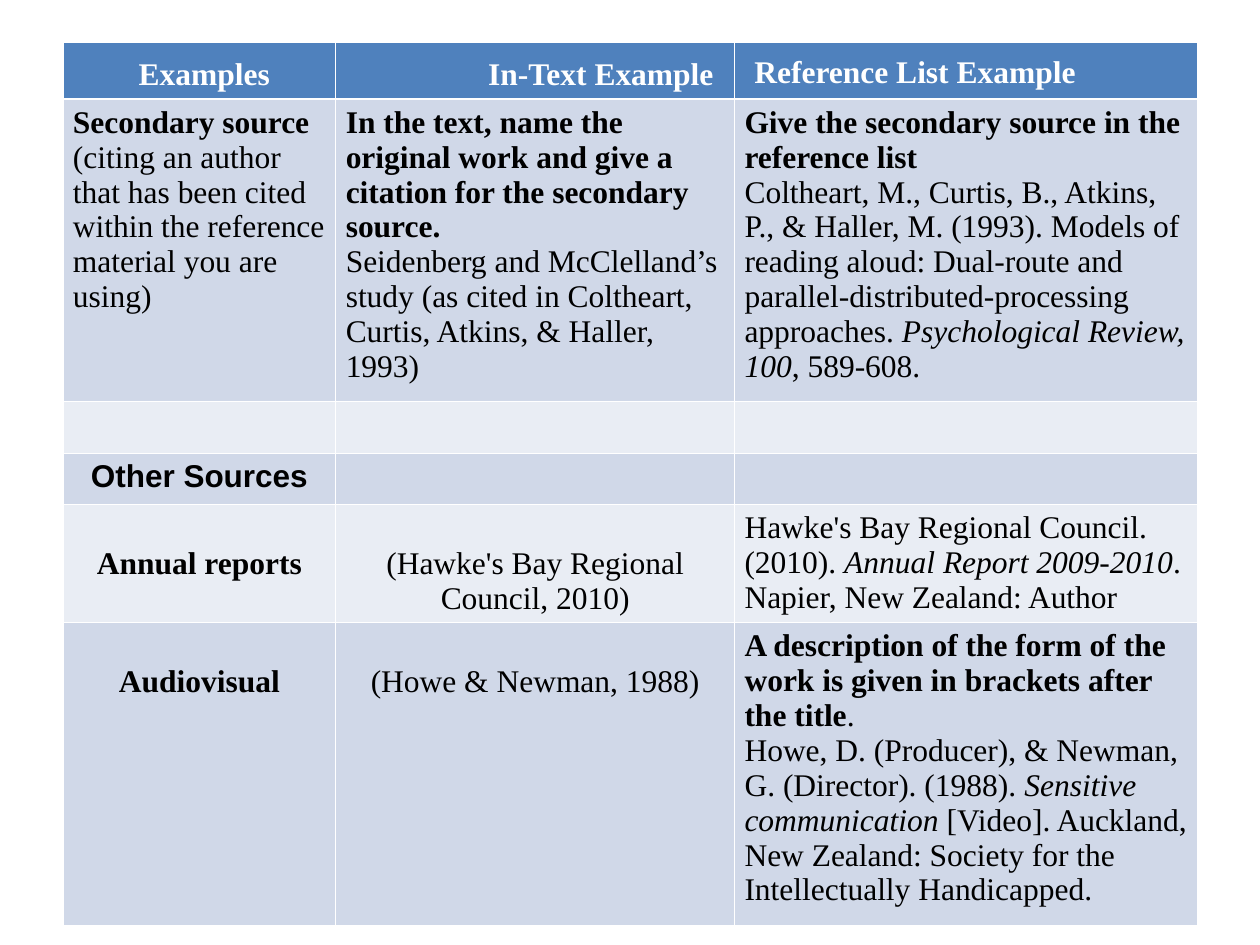
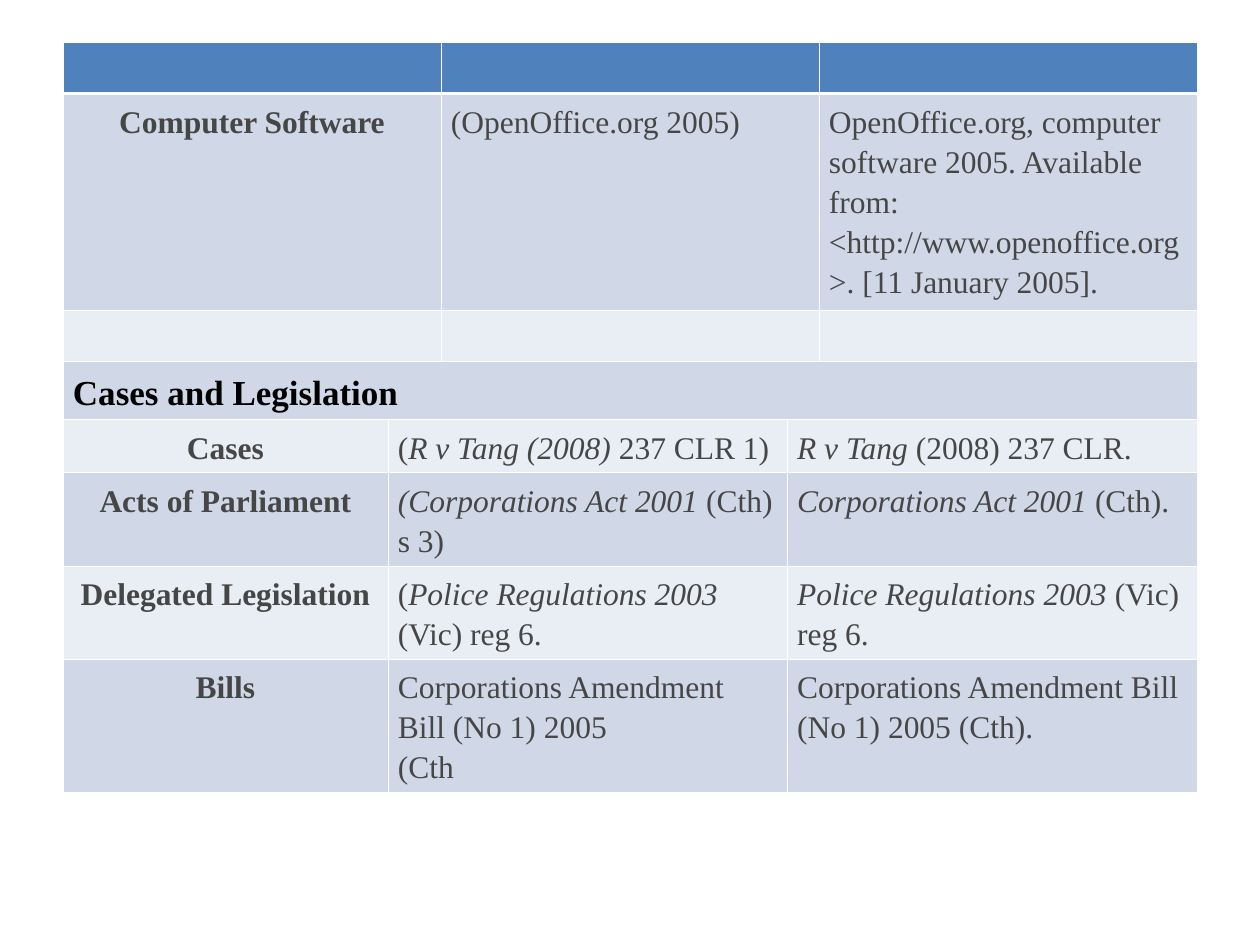
"""Builds two slides of referencing examples set out as banded tables."""
from dataclasses import dataclass
from typing import NamedTuple

from lxml.etree import SubElement
from pptx import Presentation
from pptx.dml.color import RGBColor
from pptx.enum.text import PP_ALIGN
from pptx.oxml.ns import qn
from pptx.util import Cm, Pt

HEADER_BLUE = RGBColor(0x4F, 0x81, 0xBD)
BAND_DARK = RGBColor(0xD0, 0xD8, 0xE8)
BAND_LIGHT = RGBColor(0xE9, 0xED, 0xF4)
WHITE = RGBColor(0xFF, 0xFF, 0xFF)
BLACK = RGBColor(0x00, 0x00, 0x00)
GREY = RGBColor(0x46, 0x46, 0x46)
SERIF = "Times New Roman"
TABLE_LEFT, TABLE_TOP = 1.27, 0.85
SIDE_MARGIN, EDGE_MARGIN = 0.2, 0.13
LOWERED = 0.84
THIN, THICK = 0.45, 1.47


class Span(NamedTuple):
    text: str
    bold: bool = False
    italic: bool = False


Line = tuple[Span, ...]


@dataclass(frozen=True)
class Entry:
    lines: tuple[Line, ...] = ()
    columns: int = 1
    centred: bool = False
    color: RGBColor = BLACK
    font: str = SERIF
    size: float = 18
    spacing: float | Pt = 1.0
    top: float = EDGE_MARGIN
    indent: float = 0


@dataclass(frozen=True)
class TablePage:
    widths: tuple[float, ...]
    heights: tuple[float, ...]
    rows: tuple[tuple[Entry, ...], ...]


def plain(text: str) -> Line:
    return (Span(text),)


def bold(text: str) -> Line:
    return (Span(text, bold=True),)


def italic(text: str) -> Span:
    return Span(text, italic=True)


def heading(text: str, leading: float, top: float, indent: float, centred: bool = False) -> Entry:
    return Entry((bold(text),), color=WHITE, spacing=Pt(leading), top=top,
                 indent=indent, centred=centred)


def label(text: str, columns: int = 1) -> Entry:
    return Entry((bold(text),), columns, centred=True, color=GREY, spacing=1.15)


def detail(*lines: Line, columns: int = 1) -> Entry:
    return Entry(lines, columns, color=GREY, spacing=1.15)


def lowered(line: Line) -> Entry:
    return Entry((line,), centred=True, top=LOWERED)


def law_row(kind: str, in_text: tuple[Line, ...], reference: Line) -> tuple[Entry, ...]:
    return label(kind), detail(*in_text, columns=2), detail(reference, columns=2)


def set_borders(cell, row_index: int) -> None:
    properties = cell._tc.get_or_add_tcPr()
    widths = {"a:lnL": THIN, "a:lnR": THIN,
              "a:lnT": THICK if row_index == 1 else THIN,
              "a:lnB": THICK if row_index == 0 else THIN}
    for position, (tag, width) in enumerate(widths.items()):
        line = properties.makeelement(qn(tag), {"w": str(int(Pt(width)))})
        fill = SubElement(line, qn("a:solidFill"))
        SubElement(fill, qn("a:srgbClr"), val=str(WHITE))
        properties.insert(position, line)


def write_line(paragraph, line: Line, entry: Entry) -> None:
    paragraph.alignment = PP_ALIGN.CENTER if entry.centred else PP_ALIGN.LEFT
    paragraph.line_spacing = entry.spacing
    if entry.indent:
        paragraph._p.get_or_add_pPr().set("marL", str(int(Cm(entry.indent))))
    font = paragraph.font
    font.name, font.size = entry.font, Pt(entry.size)
    font.color.rgb = entry.color
    font.bold = all(span.bold for span in line)
    font.italic = all(span.italic for span in line)
    for span in line:
        run = paragraph.add_run()
        run.text = span.text
        if span.bold != font.bold:
            run.font.bold = span.bold
        if span.italic != font.italic:
            run.font.italic = span.italic


def fill_entry(cell, entry: Entry) -> None:
    cell.margin_left = cell.margin_right = Cm(SIDE_MARGIN)
    cell.margin_top, cell.margin_bottom = Cm(entry.top), Cm(EDGE_MARGIN)
    frame = cell.text_frame
    for index, line in enumerate(entry.lines):
        paragraph = frame.add_paragraph() if index else frame.paragraphs[0]
        write_line(paragraph, line, entry)


def band_color(row_index: int) -> RGBColor:
    if row_index == 0:
        return HEADER_BLUE
    return BAND_DARK if row_index % 2 else BAND_LIGHT


def add_table_page(deck, content: TablePage) -> None:
    page = deck.slides.add_slide(deck.slide_layouts[6])
    table = page.shapes.add_table(
        len(content.heights), len(content.widths), Cm(TABLE_LEFT), Cm(TABLE_TOP),
        Cm(sum(content.widths)), Cm(sum(content.heights))).table
    table.first_row = table.horz_banding = False
    for column, width in zip(table.columns, content.widths):
        column.width = Cm(width)
    for row_index, entries in enumerate(content.rows):
        row = table.rows[row_index]
        row.height = Cm(content.heights[row_index])
        for cell in row.cells:
            cell.fill.solid()
            cell.fill.fore_color.rgb = band_color(row_index)
            set_borders(cell, row_index)
        start = 0
        for entry in entries:
            cell = table.cell(row_index, start)
            if entry.columns > 1:
                cell.merge(table.cell(row_index, start + entry.columns - 1))
            fill_entry(cell, entry)
            start += entry.columns


EMPTY_ROW = (Entry(),) * 3
EMPTY_MERGED_ROW = (Entry(columns=2), Entry(columns=2), Entry())

SOURCES = TablePage(
    widths=(5.5, 8.04, 9.32),
    heights=(1.12, 6.1, 1.04, 1.03, 2.37, 6.1),
    rows=(
        (heading("Examples", 12.5, 0.57, 0.2, centred=True),
         heading("In-Text Example", 12.5, 0.57, 2.87),
         heading("Reference List Example", 12, 0.55, 0.2)),
        (Entry((bold("Secondary source"),
                plain("(citing an author that has been cited within the reference "
                      "material you are using)"))),
         Entry((bold("In the text, name the original work and give a citation for "
                     "the secondary source."),
                plain("Seidenberg and McClelland’s study (as cited in Coltheart, "
                      "Curtis, Atkins, & Haller, 1993)"))),
         Entry((bold("Give the secondary source in the reference list"),
                (Span("Coltheart, M., Curtis, B., Atkins, P., & Haller, M. (1993). "
                      "Models of reading aloud: Dual-route and "
                      "parallel-distributed-processing approaches. "),
                 italic("Psychological Review, 100"), Span(", 589-608."))))),
        EMPTY_ROW,
        (Entry((bold("Other Sources"),), centred=True, font="Arial"), Entry(), Entry()),
        (lowered(bold("Annual reports")),
         lowered(plain("(Hawke's Bay Regional Council, 2010)")),
         Entry(((Span("Hawke's Bay Regional Council. (2010). "),
                 italic("Annual Report 2009-2010"),
                 Span(". Napier, New Zealand: Author")),))),
        (lowered(bold("Audiovisual")),
         lowered(plain("(Howe & Newman, 1988)")),
         Entry(((Span("A description of the form of the work is given in brackets "
                      "after the title", bold=True), Span(".")),
                (Span("Howe, D. (Producer), & Newman, G. (Director). (1988). "),
                 italic("Sensitive communication "),
                 Span("[Video]. Auckland, New Zealand: Society for the "
                      "Intellectually Handicapped."))))),
    ))

LEGISLATION = TablePage(
    widths=(6.55, 1.07, 6.98, 0.64, 7.62),
    heights=(1.03, 4.37, 1.03, 1.17, 1.05, 1.87, 1.87, 2.68),
    rows=(
        EMPTY_MERGED_ROW,
        (label("Computer Software", columns=2),
         detail(plain("(OpenOffice.org 2005)"), columns=2),
         detail(plain("OpenOffice.org, computer software 2005. Available from: "
                      "<http://www.openoffice.org>. [11 January 2005]."))),
        EMPTY_MERGED_ROW,
        (Entry((bold("Cases and Legislation"),), columns=5, size=20, spacing=1.15),),
        law_row("Cases",
                ((Span("("), italic("R v Tang (2008) "), Span("237 CLR 1)")),),
                (italic("R v Tang "), Span("(2008) 237 CLR."))),
        law_row("Acts of Parliament",
                ((italic("(Corporations Act 2001 "), Span("(Cth) s 3)")),),
                (italic("Corporations Act 2001 "), Span("(Cth)."))),
        law_row("Delegated Legislation",
                ((Span("("), italic("Police Regulations 2003 "), Span("(Vic) reg 6.")),),
                (italic("Police Regulations 2003 "), Span("(Vic) reg 6."))),
        law_row("Bills",
                (plain("Corporations Amendment Bill (No 1) 2005"), plain("(Cth")),
                plain("Corporations Amendment Bill (No 1) 2005 (Cth).")),
    ))


def main() -> None:
    deck = Presentation()
    deck.slide_width, deck.slide_height = Cm(25.4), Cm(19.05)
    for content in (SOURCES, LEGISLATION):
        add_table_page(deck, content)
    deck.save("out.pptx")


if __name__ == "__main__":
    main()
